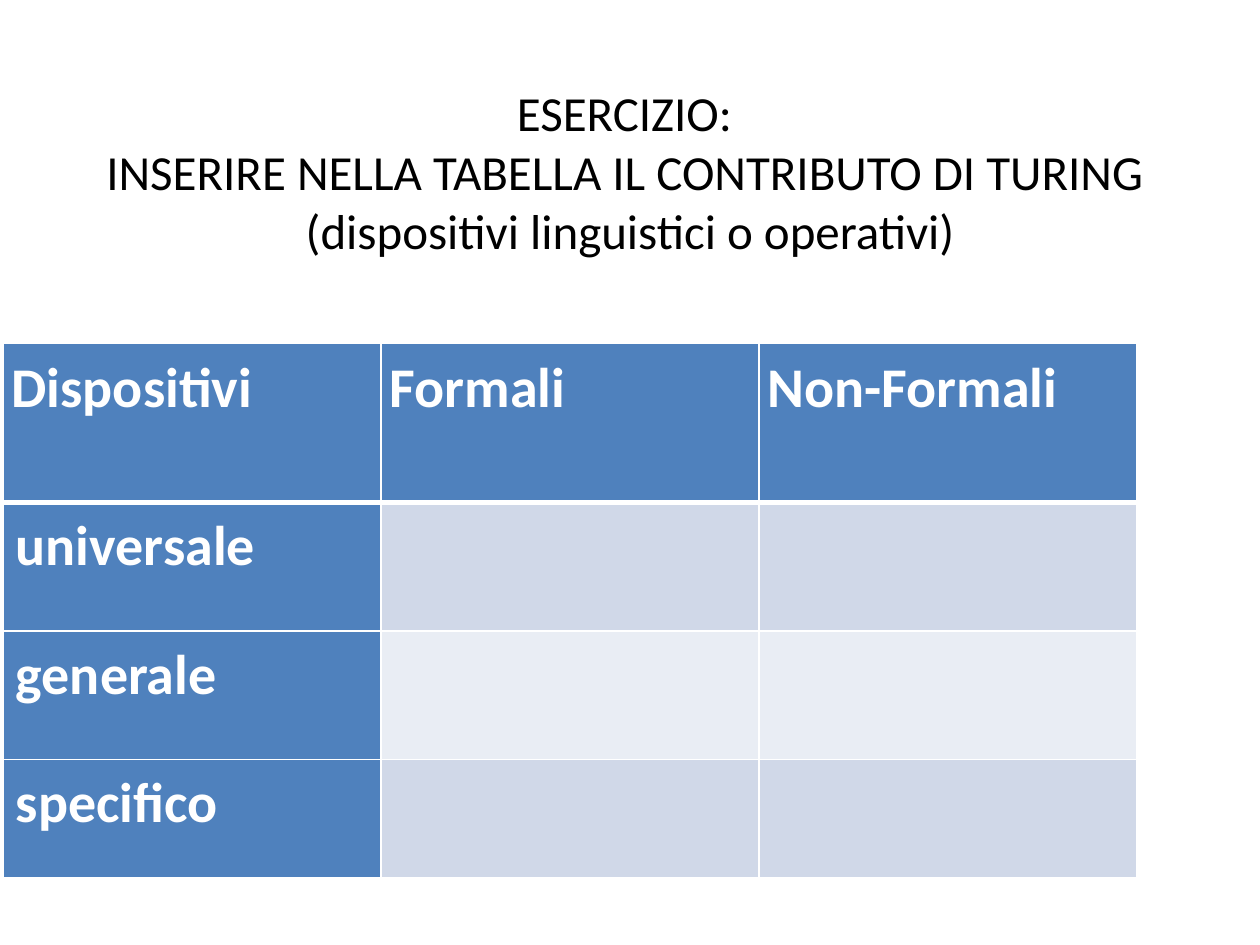
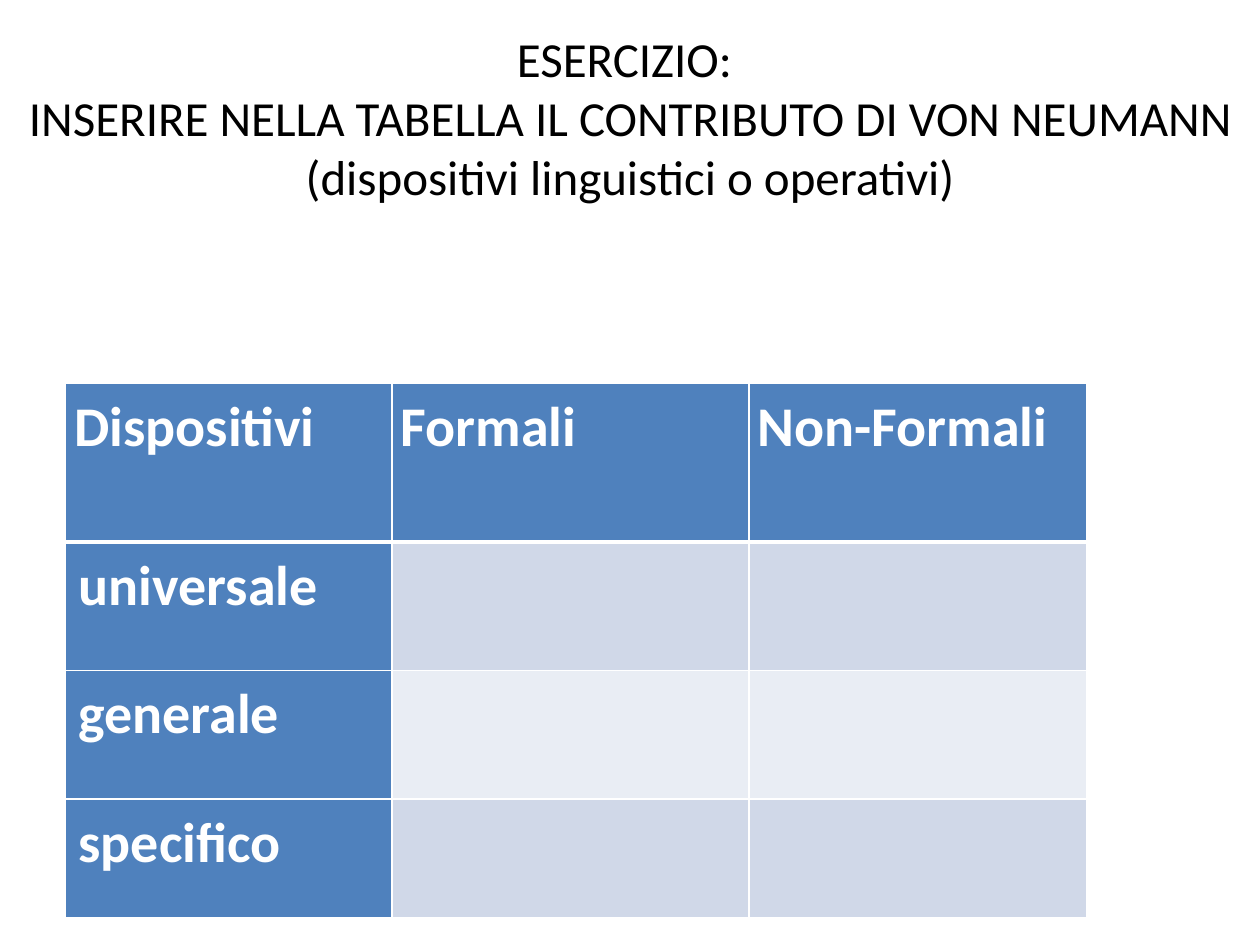
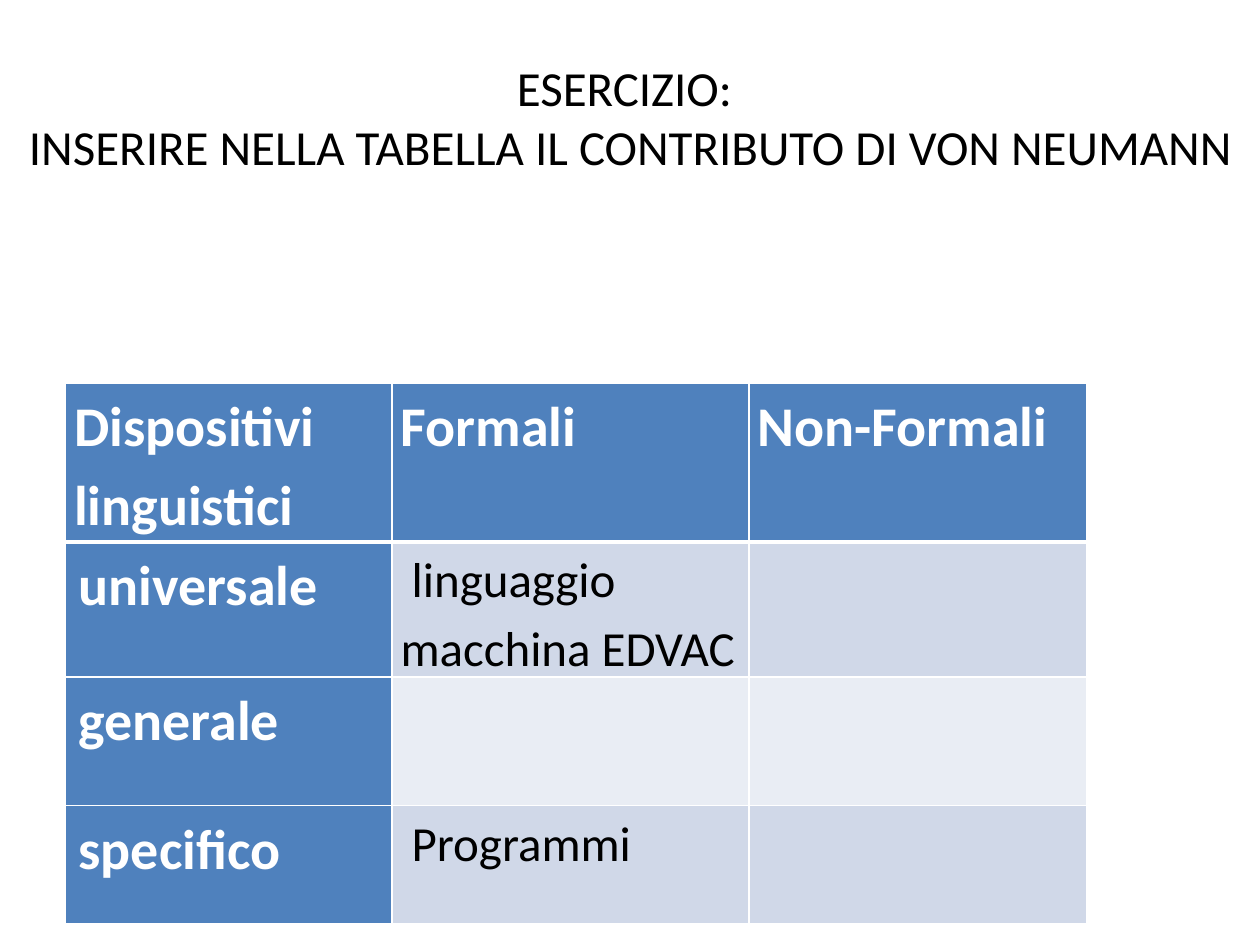
from dataclasses import dataclass

from lxml.etree import SubElement
from pptx import Presentation
from pptx.dml.color import RGBColor
from pptx.enum.text import MSO_ANCHOR, PP_ALIGN
from pptx.oxml.ns import qn
from pptx.util import Pt


@dataclass(frozen=True)
class Theme:
    font: str = "Calibri"
    black: str = "000000"
    white: str = "FFFFFF"
    heading_fill: str = "4F81BD"
    odd_row_fill: str = "D0D8E8"
    even_row_fill: str = "E9EDF4"
    body_size: float = 28
    heading_size: float = 32
    thin_line: float = 1
    thick_line: float = 3


@dataclass(frozen=True)
class Box:
    left: float
    top: float
    width: float
    height: float


THEME = Theme()
ROW_HEIGHTS = (90.7, 73.4, 73.4, 67.7)
ROW_NAMES = ("universale", "generale", "specifico")
CELL_INSET = 5
ROW_NAME_INDENT = 2.5
ANSWER_INDENT = 6.3

EQUAL_COLUMNS = (216, 216, 216)
FITTED_COLUMNS = (186.6, 204, 193)
WIDE_TITLE = Box(0, 21.6, 720, 90)
LOWER_TABLE = Box(37.4, 219, sum(FITTED_COLUMNS), sum(ROW_HEIGHTS))

# Each exercise: title lines, title box, table box, column widths,
# first heading, answers by (row, column).
TURING_TITLE = (
    "ESERCIZIO: ",
    "INSERIRE NELLA TABELLA IL CONTRIBUTO DI TURING ",
    "(dispositivi linguistici o operativi)",
)
VON_NEUMANN_TITLE = (
    "ESERCIZIO: ",
    "INSERIRE NELLA TABELLA IL CONTRIBUTO DI VON NEUMANN",
    "(dispositivi linguistici o operativi)",
)
EXERCISES = (
    (TURING_TITLE, Box(36, 21.6, 648, 152),
     Box(1.6, 196.4, sum(EQUAL_COLUMNS), sum(ROW_HEIGHTS)),
     EQUAL_COLUMNS, "Dispositivi", {}),
    (VON_NEUMANN_TITLE, WIDE_TITLE, LOWER_TABLE,
     FITTED_COLUMNS, "Dispositivi", {}),
    (VON_NEUMANN_TITLE[:2], WIDE_TITLE, LOWER_TABLE,
     FITTED_COLUMNS, "Dispositivi linguistici",
     {(1, 1): "linguaggio macchina EDVAC", (3, 1): "Programmi"}),
)


def format_runs(paragraph, size, color, bold=False):
    for run in paragraph.runs:
        run.font.name = THEME.font
        run.font.size = Pt(size)
        run.font.bold = bold
        run.font.color.rgb = RGBColor.from_string(color)


def add_title(slide, box, lines):
    shape = slide.shapes.add_textbox(
        Pt(box.left), Pt(box.top), Pt(box.width), Pt(box.height))
    text_frame = shape.text_frame
    text_frame.word_wrap = True
    text_frame.vertical_anchor = MSO_ANCHOR.MIDDLE
    paragraph = text_frame.paragraphs[0]
    paragraph.text = "\v".join(lines)
    paragraph.alignment = PP_ALIGN.CENTER
    format_runs(paragraph, THEME.body_size, THEME.black)


def set_borders(cell, row):
    """Draw white borders, with a thick rule under the heading row."""
    widths = {
        "a:lnL": THEME.thin_line,
        "a:lnR": THEME.thin_line,
        "a:lnT": THEME.thick_line if row == 1 else THEME.thin_line,
        "a:lnB": THEME.thick_line if row == 0 else THEME.thin_line,
    }
    properties = cell._tc.get_or_add_tcPr()
    for tag, width in widths.items():
        line = SubElement(properties, qn(tag), w=str(Pt(width)))
        fill = SubElement(line, qn("a:solidFill"))
        SubElement(fill, qn("a:srgbClr"), val=THEME.white)


def fill_cell(cell, row, column, text):
    is_heading = row == 0 or column == 0
    set_borders(cell, row)
    band = THEME.odd_row_fill if row % 2 else THEME.even_row_fill
    cell.fill.solid()
    cell.fill.fore_color.rgb = RGBColor.from_string(
        THEME.heading_fill if is_heading else band)
    cell.margin_left = cell.margin_right = Pt(CELL_INSET)
    cell.margin_top = cell.margin_bottom = Pt(0)
    if not text:
        return
    paragraph = cell.text_frame.paragraphs[0]
    paragraph.text = text
    paragraph.line_spacing = 1.15
    if row > 0:
        indent = ROW_NAME_INDENT if column == 0 else ANSWER_INDENT
        paragraph._p.get_or_add_pPr().set("indent", str(Pt(indent)))
    if is_heading:
        format_runs(paragraph, THEME.heading_size, THEME.white, bold=True)
    else:
        format_runs(paragraph, THEME.body_size, THEME.black)


def add_device_table(slide, box, column_widths, first_heading, answers):
    headings = (first_heading, "Formali", "Non-Formali")
    table = slide.shapes.add_table(
        len(ROW_HEIGHTS), len(headings),
        Pt(box.left), Pt(box.top), Pt(box.width), Pt(box.height)).table
    table.first_col = True
    for table_column, width in zip(table.columns, column_widths):
        table_column.width = Pt(width)
    for table_row, height in zip(table.rows, ROW_HEIGHTS):
        table_row.height = Pt(height)

    texts = dict(answers)
    texts.update({(0, column): name for column, name in enumerate(headings)})
    texts.update({(row, 0): name for row, name in enumerate(ROW_NAMES, 1)})
    for row in range(len(ROW_HEIGHTS)):
        for column in range(len(headings)):
            fill_cell(table.cell(row, column), row, column,
                      texts.get((row, column)))


def add_exercise_slide(presentation, title, title_box, table_box,
                       column_widths, first_heading, answers):
    slide = presentation.slides.add_slide(presentation.slide_layouts[6])
    add_title(slide, title_box, title)
    add_device_table(slide, table_box, column_widths, first_heading, answers)


def main():
    presentation = Presentation()
    presentation.slide_width = Pt(720)
    presentation.slide_height = Pt(540)
    for exercise in EXERCISES:
        add_exercise_slide(presentation, *exercise)
    presentation.save("out.pptx")


if __name__ == "__main__":
    main()
